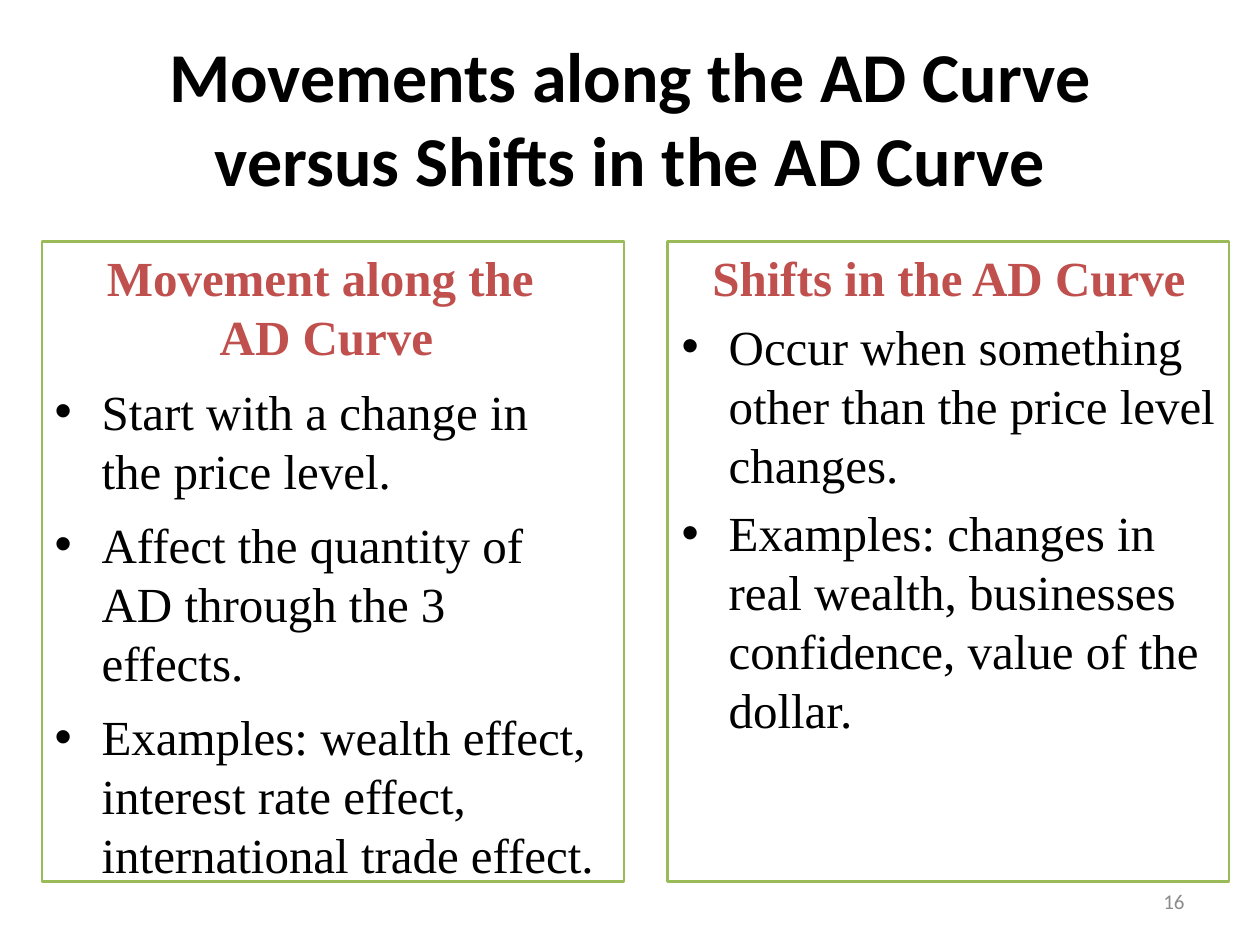
import pptx
import pptx.dml.color
import pptx.enum.shapes
import pptx.enum.text
import pptx.util
from dataclasses import dataclass
from lxml import etree

Cm = pptx.util.Cm
Pt = pptx.util.Pt
ALIGN = pptx.enum.text.PP_ALIGN
ANCHOR = pptx.enum.text.MSO_ANCHOR


@dataclass(frozen=True)
class Theme:
    title_font: str = "Calibri"
    body_font: str = "Times New Roman"
    bullet_font: str = "Arial"
    title_size: float = 40
    body_size: float = 28
    number_size: float = 12
    ink: str = "000000"
    heading: str = "C0504D"
    frame: str = "9BBB59"
    muted: str = "8C8C8C"


THEME = Theme()
PANEL_TOP, PANEL_HEIGHT = 4.87, 12.9
INDENT = 0.95

# Each panel: text left and width, frame left and width, space before (pt)
PANELS = [
    {
        "text": (0.85, 11.46), "frame": (0.85, 11.73), "gap": 9,
        "heading": ["Movement along the ", "AD Curve"],
        "points": [
            "Start with a change in the price level.",
            "Affect the quantity of AD through the 3 effects.",
            "Examples: wealth effect, interest rate effect, "
            "international trade effect.",
        ],
    },
    {
        "text": (13.49, 11.28), "frame": (13.46, 11.32), "gap": 5.6,
        "heading": ["Shifts in the AD Curve"],
        "points": [
            "Occur when something other than the price level changes.",
            "Examples: changes in real wealth, businesses confidence, "
            "value of the dollar.",
        ],
    },
]


def apply(target, values):
    for name, value in values.items():
        setattr(target, name, value)


def rgb(code):
    return pptx.dml.color.RGBColor.from_string(code)


def add_box(page, left, top, width, height, anchor=ANCHOR.TOP):
    box = page.shapes.add_textbox(Cm(left), Cm(top), Cm(width), Cm(height))
    apply(box.text_frame, {"word_wrap": True, "vertical_anchor": anchor})
    return box.text_frame


def write(para, lines, font, size, color, bold=False, **layout):
    """Fill a paragraph with lines parted by line breaks."""
    apply(para, layout)
    for index, line in enumerate(lines):
        if index:
            para.add_line_break()
        span = para.add_run()
        span.text = line
        apply(span.font, {"name": font, "size": Pt(size), "bold": bold})
        span.font.color.rgb = rgb(color)


def add_bullet(para):
    props = para._p.get_or_add_pPr()
    props.set("marL", str(Cm(INDENT)))
    props.set("indent", str(-Cm(INDENT)))
    for tag, key, value in (("buFont", "typeface", THEME.bullet_font),
                            ("buChar", "char", "•")):
        etree.SubElement(props, pptx.oxml.ns.qn("a:" + tag)).set(key, value)


def add_panel_text(page, panel):
    left, width = panel["text"]
    frame = add_box(page, left, PANEL_TOP, width, PANEL_HEIGHT)
    gap = Pt(panel["gap"])
    write(frame.paragraphs[0], panel["heading"], THEME.body_font,
          THEME.body_size, THEME.heading, True,
          alignment=ALIGN.CENTER, space_before=gap)
    for point in panel["points"]:
        para = frame.add_paragraph()
        write(para, [point], THEME.body_font, THEME.body_size, THEME.ink,
              alignment=ALIGN.LEFT, space_before=gap)
        add_bullet(para)


def add_panel_frame(page, panel):
    left, width = panel["frame"]
    shape = page.shapes.add_shape(
        pptx.enum.shapes.MSO_SHAPE.RECTANGLE,
        Cm(left), Cm(PANEL_TOP), Cm(width), Cm(PANEL_HEIGHT))
    shape.shadow.inherit = False
    shape.fill.background()
    shape.line.color.rgb = rgb(THEME.frame)
    shape.line.width = Pt(1.5)


def main():
    deck = pptx.Presentation()
    apply(deck, {"slide_width": Cm(25.4), "slide_height": Cm(19.05)})
    page = deck.slides.add_slide(deck.slide_layouts[6])

    # Title
    title = add_box(page, 1.27, 0.76, 22.86, 3.18, ANCHOR.MIDDLE)
    write(title.paragraphs[0],
          ["Movements along the AD Curve versus Shifts in the AD Curve"],
          THEME.title_font, THEME.title_size, THEME.ink, True,
          alignment=ALIGN.CENTER)

    # Two framed columns
    for panel in PANELS:
        add_panel_text(page, panel)
    for panel in PANELS:
        add_panel_frame(page, panel)

    # Page number
    number = add_box(page, 18.2, 17.65, 5.93, 1.02, ANCHOR.MIDDLE)
    write(number.paragraphs[0], ["16"], THEME.title_font, THEME.number_size,
          THEME.muted, alignment=ALIGN.RIGHT)

    deck.save("out.pptx")


if __name__ == "__main__":
    main()
